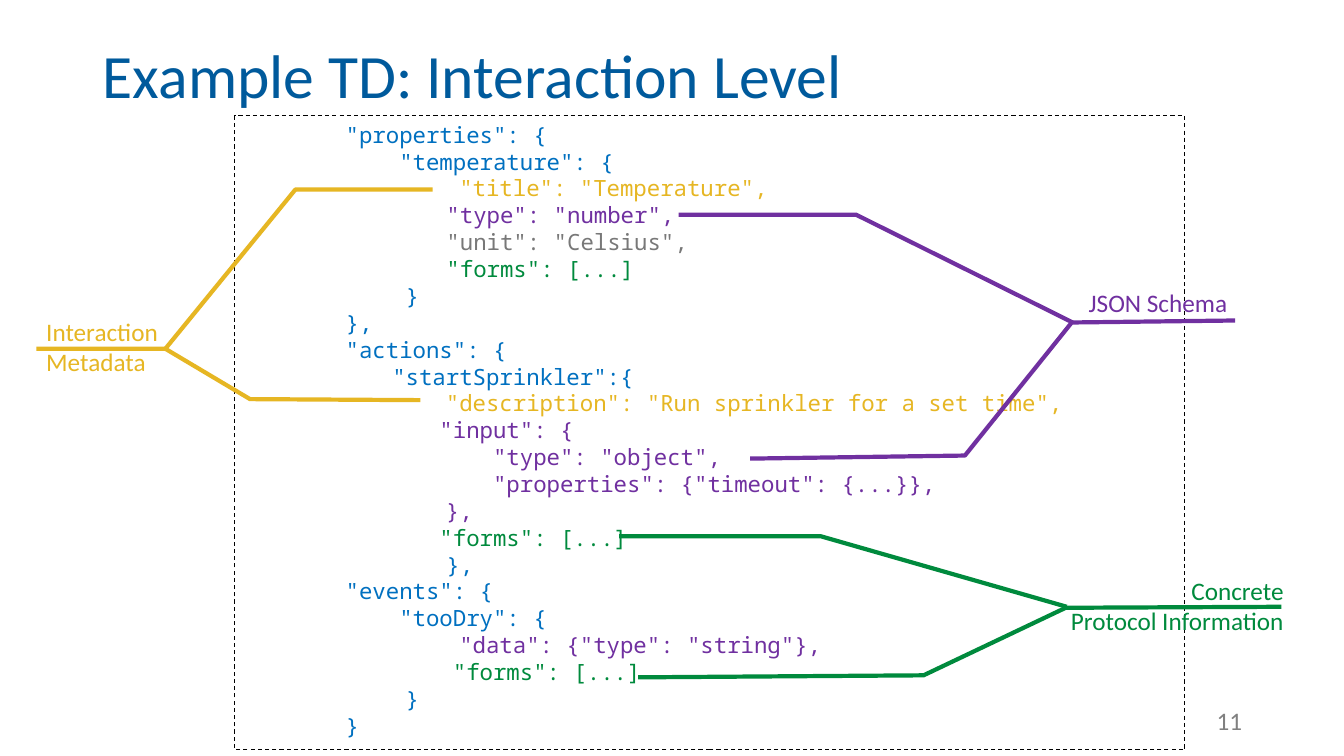
import pptx
import pptx.dml.color
import pptx.enum.dml
import pptx.enum.shapes
import pptx.enum.text
import pptx.util

Inches = pptx.util.Inches
Align = pptx.enum.text.PP_ALIGN

BLUE, YELLOW, PURPLE = "0070C0", "E6B623", "7030A0"
GREEN, GREY, BLACK = "008A3D", "787878", "000000"

CODE = [
    ('\t"properties": {', BLUE),
    ('\t    "temperature": {', BLUE),
    ('                "title": "Temperature",', YELLOW),
    ('\t\t"type": "number",', PURPLE),
    ('\t\t"unit": "Celsius",', GREY),
    ('\t\t"forms": [...]', GREEN),
    ('            }', BLUE),
    ('\t},', BLUE),
    ('\t"actions": {', BLUE),
    ('           "startSprinkler":{', BLUE),
    ('               "description": "Run sprinkler for a set time",', YELLOW),
    ('\t       "input": {', PURPLE),
    ('\t           "type": "object",', PURPLE),
    ('\t           "properties": {"timeout": {...}},', PURPLE),
    ('               },', PURPLE),
    ('\t       "forms": [...]', GREEN),
    ('        \t},', BLUE),
    ('\t"events": {', BLUE),
    ('\t    "tooDry": {', BLUE),
    ('                "data": {"type": "string"},', PURPLE),
    ('\t        "forms": [...]', GREEN),
    ('            }', BLUE),
    ('\t}', BLUE),
]

BRANCHES = [
    (YELLOW, [(4.17, 3.97), (2.48, 3.96), (1.64, 3.46), (0.36, 3.46)]),
    (YELLOW, [(4.29, 1.88), (2.93, 1.88), (1.64, 3.46)]),
    (PURPLE, [(7.44, 4.55), (9.57, 4.52), (10.63, 3.2), (12.25, 3.18)]),
    (PURPLE, [(6.73, 2.13), (8.49, 2.13), (10.64, 3.2)]),
    (GREEN, [(6.33, 6.72), (9.16, 6.7), (10.57, 6.03), (12.71, 6.02)]),
    (GREEN, [(6.14, 5.32), (8.14, 5.32), (10.58, 6.02)]),
]


def colour(value):
    """Turn a hex string into a colour."""
    return pptx.dml.color.RGBColor.from_string(value)


class Page:
    """Hold the style and the current slide."""

    font = "Calibri"
    code_font = "Noto Sans Mono"

    def __init__(self, deck):
        """Add a title-only slide to the deck."""
        self.slide = deck.slides.add_slide(deck.slide_layouts[5])
        self.shapes = self.slide.shapes

    def style(self, para, size, ink, font=None, align=Align.LEFT):
        """Align a paragraph and format its runs."""
        para.alignment = align
        for span in para.runs:
            span.font.name = font or self.font
            span.font.size = pptx.util.Pt(size)
            span.font.color.rgb = colour(ink)

    def outline(self, shape, ink, width):
        """Leave a shape unfilled, with a plain line."""
        shape.shadow.inherit = False
        shape.fill.background()
        shape.line.color.rgb = colour(ink)
        shape.line.width = pptx.util.Pt(width)

    def title(self, text, left, top, width, height):
        """Place and format the title."""
        box = self.shapes.title
        box.left, box.top = Inches(left), Inches(top)
        box.width, box.height = Inches(width), Inches(height)
        box.text_frame.text = text
        box.text_frame.vertical_anchor = pptx.enum.text.MSO_ANCHOR.TOP
        para = box.text_frame.paragraphs[0]
        para.line_spacing = 0.9
        self.style(para, 44, "005A9C")

    def code(self, lines, left, top, width, height):
        """Draw the dashed frame with its coloured code lines."""
        box = self.shapes.add_shape(
            pptx.enum.shapes.MSO_SHAPE.RECTANGLE,
            Inches(left), Inches(top), Inches(width), Inches(height))
        self.outline(box, BLACK, 0.75)
        box.line.dash_style = pptx.enum.dml.MSO_LINE.DASH
        frame = box.text_frame
        frame.word_wrap = True
        frame.vertical_anchor = pptx.enum.text.MSO_ANCHOR.TOP
        frame.text = "\n".join(text for text, ink in lines)
        for para, (text, ink) in zip(frame.paragraphs, lines):
            para._p.get_or_add_pPr().set("defTabSz", str(Inches(1)))
            self.style(para, 16, ink, self.code_font)

    def label(self, text, ink, left, top, width, height, align=Align.RIGHT):
        """Write a short label."""
        box = self.shapes.add_textbox(
            Inches(left), Inches(top), Inches(width), Inches(height))
        box.text_frame.word_wrap = False
        box.text_frame.text = text
        for para in box.text_frame.paragraphs:
            self.style(para, 18, ink, align=align)

    def branch(self, ink, points):
        """Draw an open bent line through the points."""
        start, *rest = [(Inches(x), Inches(y)) for x, y in points]
        builder = self.shapes.build_freeform(*start)
        builder.add_line_segments(rest, close=False)
        self.outline(builder.convert_to_shape(), ink, 3)


def main():
    """Build the slide and save it."""
    deck = pptx.Presentation()
    deck.slide_width, deck.slide_height = Inches(13.33), Inches(7.5)
    page = Page(deck)
    page.code(CODE, 2.33, 1.15, 9.42, 6.29)
    page.title("Example TD: Interaction Level", 0.92, 0.4, 11.5, 1.02)
    page.label("11", "808080", 9.42, 6.95, 3, 0.4)
    for ink, points in BRANCHES:
        page.branch(ink, points)
    page.label("Interaction\nMetadata", YELLOW, 0.36, 3.09, 1.32, 1.01, Align.LEFT)
    page.label("JSON Schema", PURPLE, 10.68, 2.8, 1.59, 0.71)
    page.label("Concrete\nProtocol Information", GREEN, 10.5, 5.66, 2.33, 1.01)
    deck.save("out.pptx")


if __name__ == "__main__":
    main()
